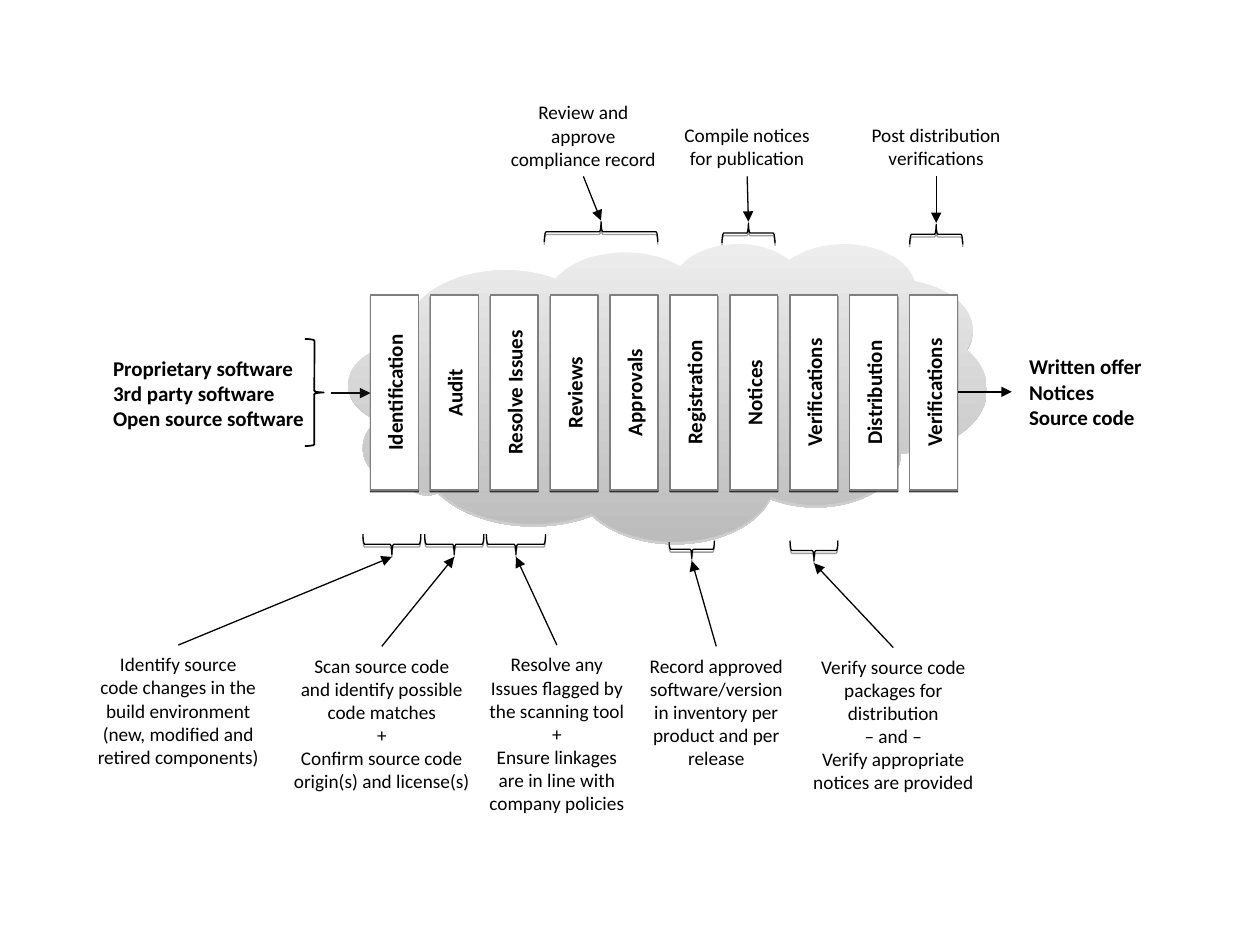
from dataclasses import dataclass

from lxml.etree import SubElement
from pptx import Presentation
from pptx.dml.color import RGBColor
from pptx.enum.shapes import MSO_CONNECTOR, MSO_SHAPE
from pptx.enum.text import MSO_ANCHOR, PP_ALIGN
from pptx.oxml.ns import qn
from pptx.util import Emu, Pt

PX = 9144


@dataclass(frozen=True)
class Theme:
    """Colours, font and sizes of the slide."""
    font: str = "Calibri"
    note_size: int = 11
    label_size: int = 12
    ink: str = "000000"
    entry: str = "0D0D0D"
    paper: str = "FFFFFF"
    border: str = "7F7F7F"
    cloud_top: str = "EDEDED"
    cloud_foot: str = "BCBCBC"
    cloud_shadow: str = "808080"
    thin: float = 0.75
    medium: float = 1
    thick: float = 1.5


THEME = Theme()
STAGES = ["Identification", "Audit", "Resolve Issues", "Reviews", "Approvals",
          "Registration", "Notices", "Verifications", "Distribution", "Verifications"]
INPUTS = ["Proprietary software", "3rd party software", "Open source software"]
OUTPUTS = ["Written offer", "Notices", "Source code"]
UPPER_NOTES = [
    ((393, 74, 140, 66), (432, 176, 90, 16), ["Review and approve", "compliance record"]),
    ((508, 92, 170, 48), (573, 177, 42, 16), ["Compile notices", "for publication"]),
    ((658, 92, 170, 48), (722, 178, 42, 16), ["Post distribution", "verifications"]),
]
LOWER_NOTES = [
    ((66, 512, 151, 103), (288, 424, 46, 16),
     ["Identify source", "code changes in the", "build environment",
      "(new, modified and", "retired components)"]),
    ((222, 513, 162, 121), (337, 424, 47, 16),
     ["Scan source code", "and identify possible", "code matches", "+",
      "Confirm source code", "origin(s) and license(s)"]),
    ((377, 512, 130, 139), (386, 424, 47, 16),
     ["Resolve any", "Issues flagged by", "the scanning tool", "+",
      "Ensure linkages", "are in line with", "company policies"]),
    ((504, 513, 129, 121), (531, 429, 36, 14),
     ["Record approved", "software/version", "in inventory per",
      "product and per", "release"]),
    ((622, 514, 174, 140), (627, 429, 38, 16),
     ["Verify source code packages for distribution", "– and –",
      "Verify appropriate notices are provided"]),
]


def px(*lengths):
    """Turn px lengths into EMU."""
    return [Emu(round(length * PX)) for length in lengths]


def colour(value):
    """Return a colour for a hex string."""
    return RGBColor.from_string(value)


def add_form(page, kind, box, fill=None, line=None, width=THEME.thin):
    """Add a preset shape without a shadow."""
    form = page.shapes.add_shape(kind, *px(*box))
    form.shadow.inherit = False
    if fill:
        form.fill.solid()
        form.fill.fore_color.rgb = colour(fill)
    else:
        form.fill.background()
    if line:
        form.line.color.rgb = colour(line)
        form.line.width = Pt(width)
    else:
        form.line.fill.background()
    return form


def add_shadow(form, value, opacity, distance):
    """Give a shape a sharp shadow straight below it."""
    effects = form.element.spPr.find(qn("a:effectLst"))
    shadow = SubElement(effects, qn("a:outerShdw"), blurRad="0", dist=str(Pt(distance)),
                        dir="5400000", rotWithShape="0")
    tone = SubElement(shadow, qn("a:srgbClr"), val=value)
    SubElement(tone, qn("a:alpha"), val=str(opacity * 1000))


def write(form, lines, size, align, insets, bold=False, wrap=True):
    """Write one paragraph per line into a shape."""
    frame = form.text_frame
    frame.word_wrap = wrap
    across, down = px(*insets)
    frame.margin_left = frame.margin_right = across
    frame.margin_top = frame.margin_bottom = down
    for index, line in enumerate(lines):
        para = frame.add_paragraph() if index else frame.paragraphs[0]
        para.alignment = align
        span = para.add_run()
        span.text = line
        span.font.name = THEME.font
        span.font.size = Pt(size)
        span.font.bold = bold
        span.font.color.rgb = colour(THEME.ink)


def add_arrow(page, start, end, width=THEME.thin, ink=THEME.ink):
    """Draw a straight arrow from start to end."""
    arrow = page.shapes.add_connector(MSO_CONNECTOR.STRAIGHT, *px(*start, *end))
    arrow.line.color.rgb = colour(ink)
    arrow.line.width = Pt(width)
    SubElement(arrow.line._get_or_add_ln(), qn("a:tailEnd"), type="triangle")
    SubElement(arrow.element.spPr, qn("a:effectLst"))


def add_flat_brace(page, box, kind):
    """Lay a brace on its side so that it fills the box."""
    left, top, length, depth = box
    shift = (length - depth) / 2
    brace = add_form(page, kind, (left + shift, top - shift, depth, length), line=THEME.ink)
    brace.rotation = 90
    add_shadow(brace, THEME.ink, 38, 1.6)


def add_note(page, box, brace, lines, above):
    """Place a note, its brace and the arrow between them."""
    left, top, width, height = box
    note = page.shapes.add_textbox(*px(*box))
    write(note, lines, THEME.note_size, PP_ALIGN.CENTER, (11, 6), wrap=above or width > 170)
    add_flat_brace(page, brace, MSO_SHAPE.LEFT_BRACE if above else MSO_SHAPE.RIGHT_BRACE)
    start = top + height if above else top
    tip = brace[1] - 1 if above else brace[1] + brace[3] + 2
    add_arrow(page, (left + width / 2, start), (brace[0] + brace[2] / 2, tip))


def add_cloud(page, box):
    """Place the shaded cloud behind the stages."""
    cloud = add_form(page, MSO_SHAPE.CLOUD_CALLOUT, box)
    cloud.adjustments[0], cloud.adjustments[1] = -0.28, 0.19
    cloud.fill.gradient()
    cloud.fill.gradient_angle = 270
    for stop, value in zip(cloud.fill.gradient_stops, (THEME.cloud_top, THEME.cloud_foot)):
        stop.color.rgb = colour(value)
    add_shadow(cloud, THEME.cloud_shadow, 38, 1.6)


def add_stages(page, box, bar_width=38):
    """Spread the stage bars evenly over the box."""
    left, top, width, height = box
    pitch = (width - bar_width) / (len(STAGES) - 1)
    for index, stage in enumerate(STAGES):
        bar = add_form(page, MSO_SHAPE.RECTANGLE,
                       (left + index * pitch, top, bar_width, height),
                       THEME.paper, THEME.border)
        add_shadow(bar, THEME.ink, 75, 1)
        write(bar, [stage], THEME.label_size, PP_ALIGN.CENTER, (5, 9), bold=True)
        bar.text_frame.vertical_anchor = MSO_ANCHOR.MIDDLE
        bar.text_frame._txBody.bodyPr.set("vert", "vert270")


def add_list(page, box, lines):
    """Place a bold list at one end of the process."""
    panel = add_form(page, MSO_SHAPE.ROUNDED_RECTANGLE, box, THEME.paper)
    write(panel, lines, THEME.label_size, PP_ALIGN.LEFT, (9, 5), bold=True)
    panel.text_frame.vertical_anchor = MSO_ANCHOR.MIDDLE


def add_inputs(page, box):
    """Place the inputs with their brace and arrow."""
    left, top, width, height = box
    middle = top + height / 2
    add_list(page, box, INPUTS)
    add_arrow(page, (left + 186, middle), (left + 217, middle), THEME.thick, THEME.entry)
    add_form(page, MSO_SHAPE.RIGHT_BRACE, (left + 165, top - 5, 15, 85),
             THEME.paper, THEME.ink, THEME.medium)


def add_outputs(page, box):
    """Place the outputs and the arrow that leads to them."""
    left, top, width, height = box
    middle = top + height / 2
    add_arrow(page, (left - 44, middle), (left - 1, middle), THEME.thick)
    add_list(page, box, OUTPUTS)


def main():
    """Build the process slide and save it."""
    deck = Presentation()
    deck.slide_width, deck.slide_height = px(1000, 750)
    page = deck.slides.add_slide(deck.slide_layouts[6])
    for notes, above in ((LOWER_NOTES, False), (UPPER_NOTES, True)):
        for box, brace, lines in notes:
            add_note(page, box, brace, lines, above)
    add_cloud(page, (277, 193, 506, 236))
    add_stages(page, (294, 234, 466, 155))
    add_inputs(page, (77, 274, 188, 76))
    add_outputs(page, (804, 273, 135, 76))
    deck.save("out.pptx")


if __name__ == "__main__":
    main()
